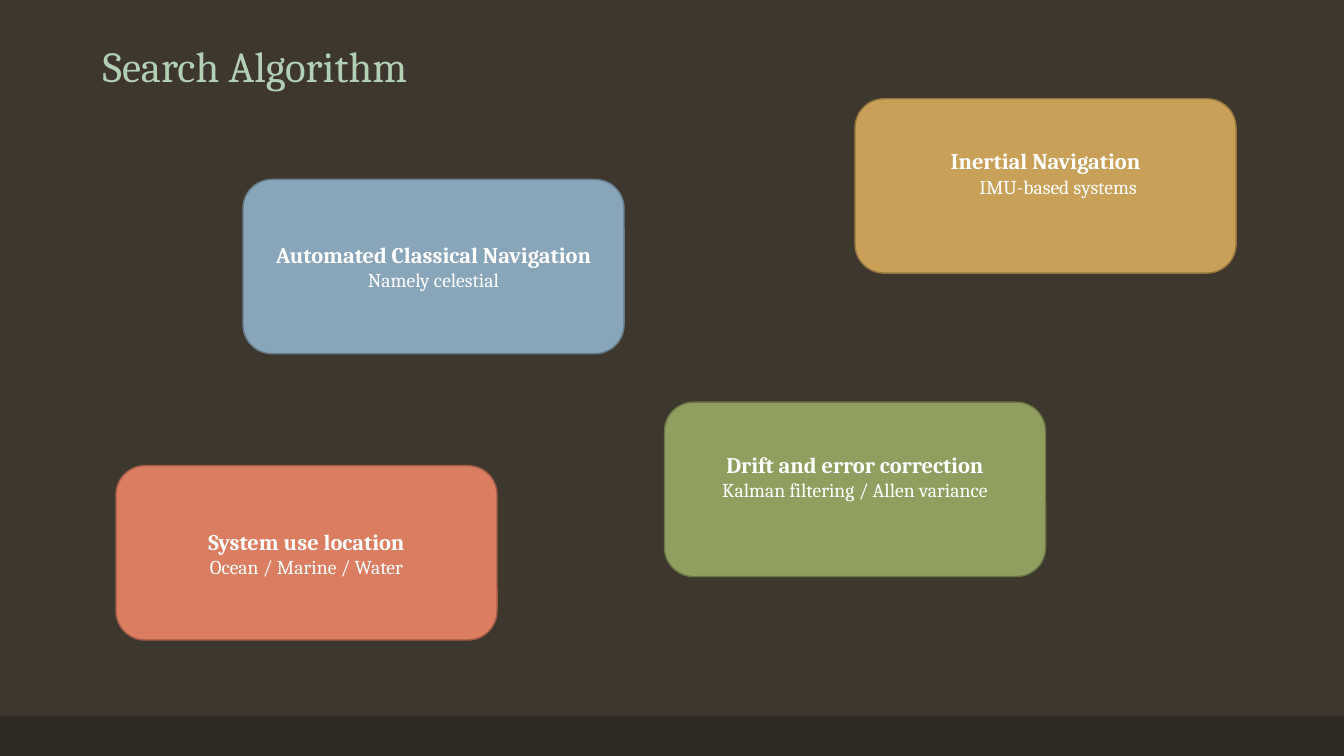
from pptx import Presentation
from pptx.dml.color import RGBColor as RGB
from pptx.enum.shapes import MSO_SHAPE as SHAPE
from pptx.enum.text import MSO_ANCHOR as ANCHOR, PP_ALIGN as ALIGN
from pptx.util import Inches, Pt

COLORS = {
    "background": "3D372E", "footer": "2E2923", "title": "B2D0B4", "text": "FFFFFF",
    "blue": "88A5BA", "blue_line": "657A8A",
    "green": "909F5F", "green_line": "6B7646",
    "coral": "DA7D60", "coral_line": "A15C47",
    "gold": "C9A057", "gold_line": "957640",
}
FONT = "Cambria"
WIDTH, HEIGHT = 13.33, 7.5
FOOTER_H = 0.4
CARD_W, CARD_H = 3.78, 1.73
INSET = 0.05
LINE_H = 0.26  # one line of 16 pt text


def color(name):
    return RGB.from_string(COLORS[name])


def style(p, size, color_name, bold=False):
    font = p.runs[0].font
    font.name, font.size, font.bold = FONT, Pt(size), bold
    font.color.rgb = color(color_name)


prs = Presentation()
prs.slide_width, prs.slide_height = Inches(WIDTH), Inches(HEIGHT)
s = prs.slides.add_slide(prs.slide_layouts[6])
s.background.fill.solid()
s.background.fill.fore_color.rgb = color("background")

footer = s.shapes.add_shape(SHAPE.RECTANGLE, 0, Inches(HEIGHT - FOOTER_H),
                            Inches(WIDTH), Inches(FOOTER_H))
footer.shadow.inherit = False
footer.fill.solid()
footer.fill.fore_color.rgb = color("footer")
footer.line.fill.background()

title = s.shapes.add_textbox(Inches(0.92), Inches(0.37), Inches(11.5), Inches(0.59))
tf = title.text_frame
tf.word_wrap = True
tf.vertical_anchor = ANCHOR.BOTTOM
p = tf.paragraphs[0]
p.text = "Search Algorithm"
p.line_spacing = 0.9
style(p, 30.6, "title")

# left, top, color, heading, detail, detail indent, lines kept free below the text
cards = [
    (2.41, 1.78, "blue", "Automated Classical Navigation", "Namely celestial", 0, 0),
    (6.59, 3.99, "green", "Drift and error correction",
     "Kalman filtering / Allen variance", 0, 1),
    (1.15, 4.62, "coral", "System use location", "Ocean / Marine / Water", 0, 0),
    (8.48, 0.98, "gold", "Inertial Navigation", "IMU-based systems", 0.25, 1),
]
for left, top, fill, heading, detail, indent, free_lines in cards:
    sp = s.shapes.add_shape(SHAPE.ROUNDED_RECTANGLE, Inches(left), Inches(top),
                            Inches(CARD_W), Inches(CARD_H))
    sp.shadow.inherit = False
    sp.fill.solid()
    sp.fill.fore_color.rgb = color(fill)
    sp.line.color.rgb = color(fill + "_line")
    sp.line.width = Pt(1)

    tf = sp.text_frame
    tf.word_wrap = True
    tf.vertical_anchor = ANCHOR.MIDDLE
    tf.margin_bottom = Inches(INSET + free_lines * LINE_H)
    tf.text = f"{heading}\n{detail}"
    for p, size, bold in zip(tf.paragraphs, (16, 14), (True, False)):
        p.alignment = ALIGN.CENTER
        style(p, size, "text", bold)
    if indent:
        pPr = tf.paragraphs[1]._p.get_or_add_pPr()
        pPr.set("marL", str(Inches(indent)))

prs.save("out.pptx")
